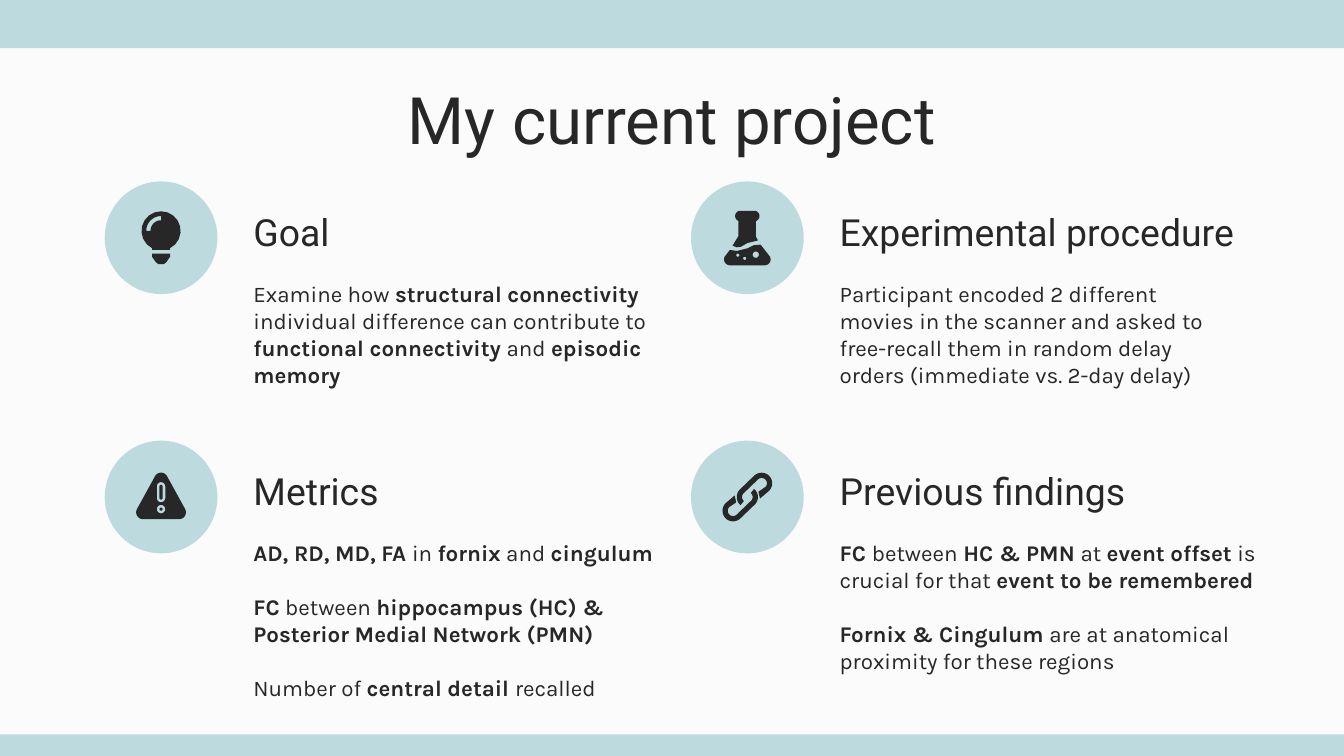
from math import cos, radians, sin

from pptx import Presentation
from pptx.dml.color import RGBColor
from pptx.enum.shapes import MSO_SHAPE
from pptx.enum.text import MSO_ANCHOR, PP_ALIGN
from pptx.util import Cm, Pt

PAPER = RGBColor(0xFB, 0xFB, 0xFB)
TEAL = RGBColor(0xBD, 0xDA, 0xDE)
INK = RGBColor(0x27, 0x27, 0x27)

WIDTH, HEIGHT = 25.4, 14.29
LEFT, TOP = 1.98, 3.43
COLUMN_STEP, ROW_STEP = 11.08, 4.9
BADGE = 2.13
TEXT_INDENT = 2.56

# column, row, heading, heading width, body width, body height, paragraphs;
# ** switches bold on and off
SECTIONS = [
    (0, 0, "Goal", 7.77, 9.17, 2.84,
     ["Examine how **structural connectivity **individual difference can contribute to "
      "**functional connectivity** and **episodic memory**"]),
    (1, 0, "Experimental procedure", 8.41, 7.77, 2.84,
     ["Participant encoded 2 different movies in the scanner and asked to "
      "free-recall them in random delay orders (immediate vs. 2-day delay)"]),
    (0, 1, "Metrics", 7.77, 8.41, 3.73,
     ["**AD, RD, MD, FA **in **fornix** and **cingulum**",
      "**FC** between **hippocampus (HC) & Posterior Medial Network (PMN)**",
      "Number of **central detail **recalled"]),
    (1, 1, "Previous findings", 7.77, 8.99, 3.89,
     ["**FC **between** HC & PMN **at **event offset** is crucial for that "
      "**event to be remembered**",
      "**Fornix & Cingulum** are at anatomical proximity for these regions"]),
]


def arc(x, y, radius, start=0, end=360, steps=16):
    """Points along an arc; angles in degrees, clockwise from the right."""
    angles = [radians(start + (end - start) * i / steps) for i in range(steps + 1)]
    return [(x + radius * cos(a), y + radius * sin(a)) for a in angles]


def capsule(radius, top, bottom):
    return arc(0, top, radius, 180, 360) + arc(0, bottom, radius, 0, 180)


def bulb():
    glass = arc(0, -0.13, 0.37, 117, 423) + [(0.17, 0.23), (-0.17, 0.23)]
    shine = arc(0, -0.13, 0.28, 180, 270) + arc(0, -0.13, 0.2, 270, 180)
    base = [(-0.17, 0.3), (0.17, 0.3), (0.17, 0.36), (0.1, 0.46),
            (0.05, 0.5), (-0.05, 0.5), (-0.1, 0.46), (-0.17, 0.36)]
    return [[glass, shine], [base]]


def warning():
    triangle = (arc(0, -0.33, 0.13, 210, 330) + arc(0.34, 0.29, 0.13, -30, 90)
                + arc(-0.34, 0.29, 0.13, 90, 210))
    return [[capsule(0.03, -0.2, 0.02)],
            [triangle, capsule(0.08, -0.2, 0.02), arc(0, 0.23, 0.08)],
            [arc(0, 0.23, 0.03)]]


def flask():
    neck = (arc(-0.13, -0.41, 0.1, 90, 270) + arc(0.13, -0.41, 0.1, -90, 90)
            + [(0.16, -0.31), (0.16, -0.03), (0.2, 0.05), (0, 0.1), (-0.12, 0.17),
               (-0.2, 0.18), (-0.28, 0.15), (-0.17, -0.03), (-0.17, -0.31)])
    liquid = ([(0, 0.2), (0.12, 0.14), (0.25, 0.13)]
              + arc(0.33, 0.41, 0.11, -30, 90) + arc(-0.33, 0.41, 0.11, 90, 210)
              + [(-0.33, 0.23), (-0.2, 0.25)])
    bubbles = [arc(-0.18, 0.33, 0.03), arc(0.16, 0.32, 0.06), arc(-0.05, 0.39, 0.03)]
    return [[liquid, *bubbles], [neck]]


def chain():
    link = (arc(0, 0, 0.2, -50, 45) + arc(-0.27, 0.26, 0.2, 45, 225)
            + [(-0.24, -0.03), (-0.21, 0.1)]
            + arc(-0.27, 0.26, 0.1, 225, 45) + arc(0, 0, 0.1, 45, -50))
    return [[link], [[(-x, -y) for x, y in link]]]


def paint(shape, colour):
    shape.fill.solid()
    shape.fill.fore_color.rgb = colour
    shape.line.fill.background()
    shape.shadow.inherit = False


def add_block(slide, preset, left, top, width, height):
    shape = slide.shapes.add_shape(preset, Cm(left), Cm(top), Cm(width), Cm(height))
    paint(shape, TEAL)


def add_icon(slide, pieces, x, y):
    """Draw pieces around (x, y); later contours of a piece are holes."""
    for contours in pieces:
        outlines = [[(Cm(x + dx), Cm(y + dy)) for dx, dy in points] for points in contours]
        builder = slide.shapes.build_freeform(*outlines[0][0])
        for number, points in enumerate(outlines):
            if number:
                builder.move_to(*points[0])
            builder.add_line_segments(points[1:], close=True)
        paint(builder.convert_to_shape(), INK)


def add_text(slide, paragraphs, left, top, width, height, *, size, font,
             align=PP_ALIGN.LEFT, anchor=MSO_ANCHOR.TOP, gap=0):
    box = slide.shapes.add_textbox(Cm(left), Cm(top), Cm(width), Cm(height))
    frame = box.text_frame
    frame.word_wrap = True
    frame.vertical_anchor = anchor
    frame.margin_left = frame.margin_right = Cm(0.25)
    frame.margin_top = frame.margin_bottom = Cm(0.25)
    for number, text in enumerate(paragraphs):
        para = frame.add_paragraph() if number else frame.paragraphs[0]
        para.alignment = align
        if number:
            para.space_before = Pt(gap)
        for part, words in enumerate(text.split("**")):
            if words:
                span = para.add_run()
                span.text = words
                span.font.name = font
                span.font.size = Pt(size)
                span.font.bold = part % 2 == 1
                span.font.color.rgb = INK


def add_section(slide, section, icon):
    column, row, heading, heading_width, body_width, body_height, body = section
    left, top = LEFT + column * COLUMN_STEP, TOP + row * ROW_STEP
    text_left = left + TEXT_INDENT
    add_text(slide, body, text_left, top + 1.62, body_width, body_height,
             size=12, font="Karla", gap=14.4)
    add_text(slide, [heading], text_left, top + 0.5, heading_width, 1.12,
             size=20, font="Roboto", anchor=MSO_ANCHOR.BOTTOM)
    add_block(slide, MSO_SHAPE.OVAL, left, top, BADGE, BADGE)
    add_icon(slide, icon, left + BADGE / 2, top + BADGE / 2)


def main():
    deck = Presentation()
    deck.slide_width, deck.slide_height = Cm(WIDTH), Cm(HEIGHT)
    slide = deck.slides.add_slide(deck.slide_layouts[6])
    slide.background.fill.solid()
    slide.background.fill.fore_color.rgb = PAPER

    add_block(slide, MSO_SHAPE.RECTANGLE, 0, HEIGHT - 0.41, WIDTH, 0.41)
    add_block(slide, MSO_SHAPE.RECTANGLE, 0, 0, WIDTH, 0.91)
    add_text(slide, ["My current project"], 2, 1.24, 21.4, 1.6,
             size=35, font="Roboto", align=PP_ALIGN.CENTER)
    for section, icon in zip(SECTIONS, [bulb(), flask(), warning(), chain()]):
        add_section(slide, section, icon)
    deck.save("out.pptx")


if __name__ == "__main__":
    main()
